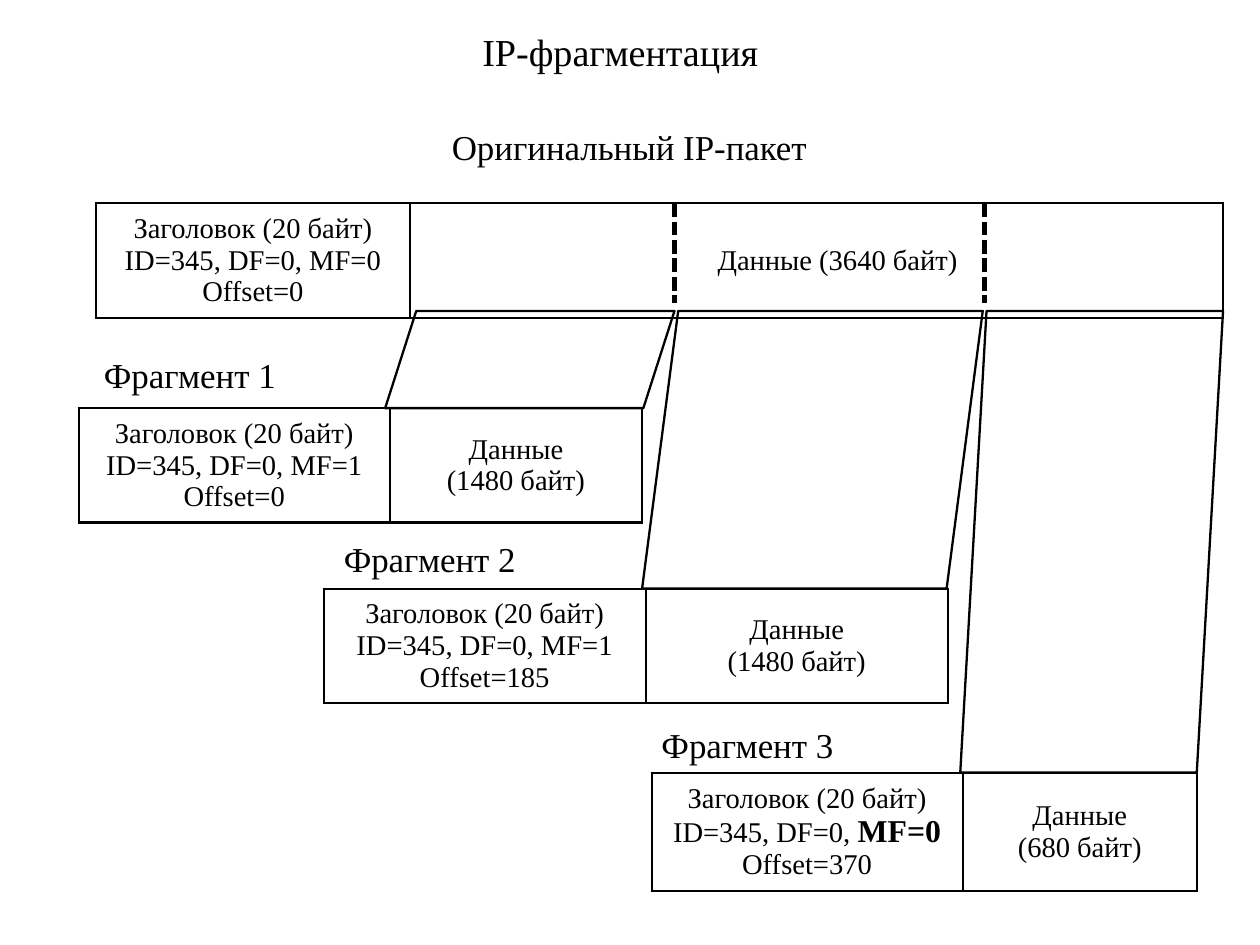
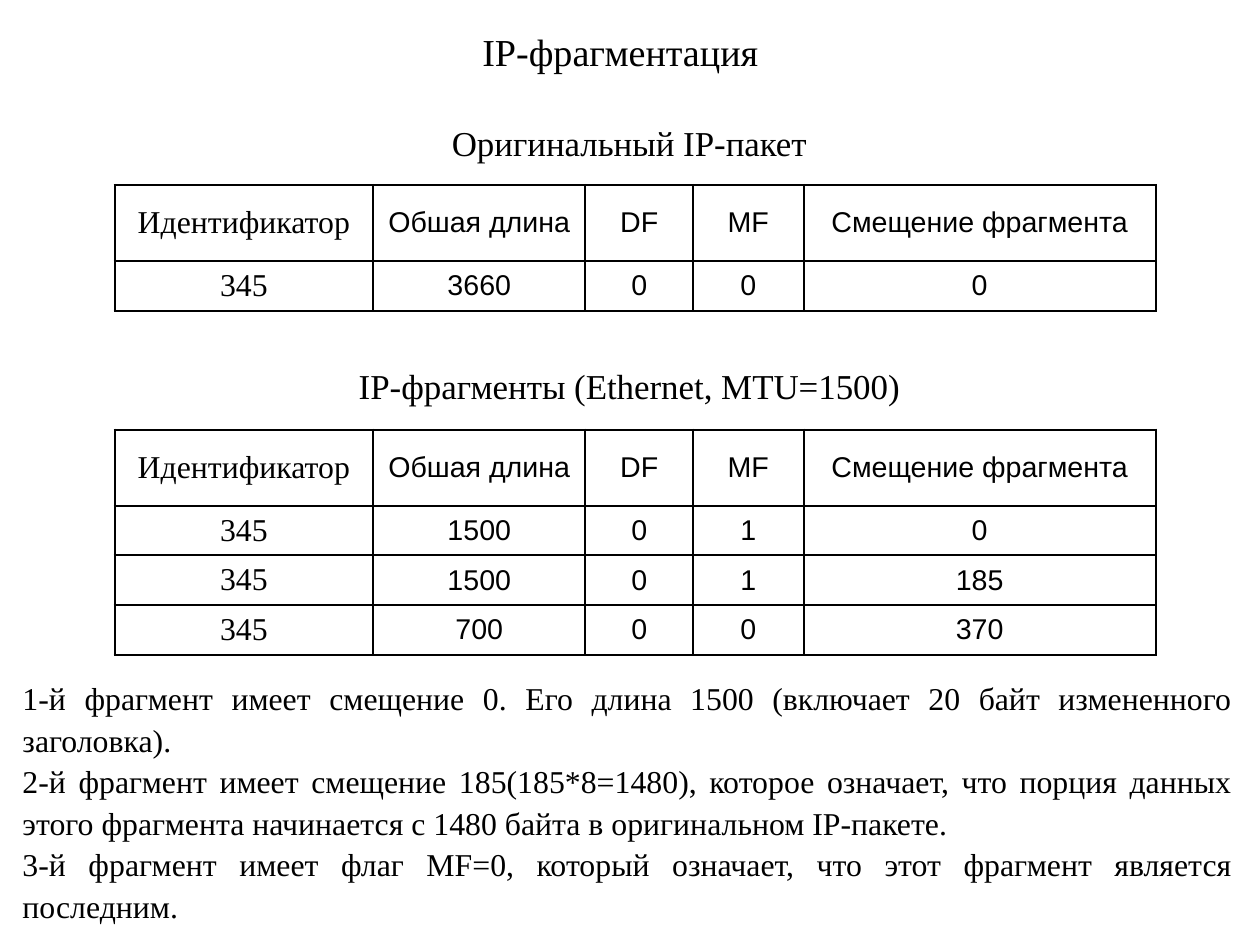
import pptx
import pptx.util
import pptx.dml.color
import pptx.enum.dml
import pptx.enum.shapes
import pptx.enum.text
import pptx.oxml
import pptx.oxml.ns
import lxml.etree

Cm = pptx.util.Cm
Pt = pptx.util.Pt
ALIGN = pptx.enum.text.PP_ALIGN
COLORS = {"ink": "000000", "page": "FFFFFF"}
SERIF, SANS = "Times New Roman", "Arial"
BORDER = 1.47


def color(name):
    """Return the named colour."""
    return pptx.dml.color.RGBColor.from_string(COLORS[name])


class Deck:
    """Holds the shared style and the current slide."""

    def __init__(self, width, height):
        """Start a file with the given slide size."""
        self.file = pptx.Presentation()
        self.file.slide_width, self.file.slide_height = Cm(width), Cm(height)

    def page(self, title):
        """Add a slide with its title."""
        self.slide = self.file.slides.add_slide(self.file.slide_layouts[6])
        back = self.slide.background.fill
        back.solid()
        back.fore_color.rgb = color("page")
        self.text(10.46, 0.51, 6.65, 1.19, title, 24, ALIGN.CENTER, wrap=False)

    def style(self, para, size, font=SERIF, align=ALIGN.CENTER):
        """Format a paragraph and its runs."""
        para.alignment = align
        for run in para.runs:
            run.font.size, run.font.name = Pt(size), font
            run.font.color.rgb = color("ink")

    def text(self, x, y, w, h, words, size, align, wrap=True, pad=(0.25, 0.13)):
        """Add a text box and return its frame."""
        frame = self.slide.shapes.add_textbox(Cm(x), Cm(y), Cm(w), Cm(h)).text_frame
        frame.word_wrap = wrap
        frame.margin_left = frame.margin_right = Cm(pad[0])
        frame.margin_top = frame.margin_bottom = Cm(pad[1])
        frame.text = words
        for para in frame.paragraphs:
            self.style(para, size, align=align)
        return frame

    def head(self, y, words):
        """Add a centred heading above a table."""
        self.text(1.3, y, 25.37, 1.24, words, 22, ALIGN.CENTER)

    def label(self, x, y, words):
        """Add the name of a fragment."""
        self.text(x, y, 4.42, 1.22, words, 22, ALIGN.LEFT, False, (0.3, 0.18))

    def edge(self, cell):
        """Draw the four borders of a cell."""
        props = cell._tc.get_or_add_tcPr()
        for side in "LRTB":
            line = lxml.etree.SubElement(
                props, pptx.oxml.ns.qn("a:ln" + side), w=str(int(Pt(BORDER))))
            fill = lxml.etree.SubElement(line, pptx.oxml.ns.qn("a:solidFill"))
            lxml.etree.SubElement(
                fill, pptx.oxml.ns.qn("a:srgbClr"), val=COLORS["ink"])

    def grid(self, x, y, cols, rows, data, fonts):
        """Add a bordered table; fonts gives (size, font) for each column."""
        table = self.slide.shapes.add_table(
            len(rows), len(cols), Cm(x), Cm(y), Cm(sum(cols)), Cm(sum(rows))).table
        table.first_row = table.horz_banding = False
        for col, width in zip(table.columns, cols):
            col.width = Cm(width)
        for row, height, line in zip(table.rows, rows, data):
            row.height = Cm(height)
            for cell, words, (size, font) in zip(row.cells, line, fonts):
                cell.text_frame.text = words
                cell.vertical_anchor = pptx.enum.text.MSO_ANCHOR.MIDDLE
                for para in cell.text_frame.paragraphs:
                    self.style(para, size, font)
                self.edge(cell)
                cell.fill.background()
        return table

    def packet(self, x, y, cols, flags, shift, data, height=2.54):
        """Add a packet made of a header cell and a data cell."""
        header = f"Заголовок (20 байт)\nID=345, DF=0, {flags}\nOffset={shift}"
        return self.grid(x, y, cols, [height], [[header, data]], [(18, SERIF)] * 2)

    def slant(self, x, y, w, h, skew):
        """Add an outlined parallelogram."""
        shape = self.slide.shapes.add_shape(
            pptx.enum.shapes.MSO_SHAPE.PARALLELOGRAM, Cm(x), Cm(y), Cm(w), Cm(h))
        shape.shadow.inherit = False
        shape.adjustments[0] = skew
        shape.fill.background()
        shape.line.color.rgb = color("ink")
        shape.line.width = Pt(1.45)

    def split(self, x, top, bottom):
        """Add a dashed vertical line."""
        line = self.slide.shapes.add_connector(
            pptx.enum.shapes.MSO_CONNECTOR.STRAIGHT, Cm(x), Cm(top), Cm(x), Cm(bottom))
        line.line.color.rgb = color("ink")
        line.line.width = Pt(2.89)
        line.line.dash_style = pptx.enum.dml.MSO_LINE.SQUARE_DOT
        lxml.etree.SubElement(line._element.spPr, pptx.oxml.ns.qn("a:effectLst"))


def scheme(deck):
    """Build the slide that cuts a packet into three fragments."""
    deck.page("IP-фрагментация")
    deck.head(2.67, "Оригинальный IP-пакет")
    whole = deck.packet(2.13, 4.52, [6.98, 18.06], "MF=0", 0, "Данные (3640 байт)")
    whole.cell(0, 1).margin_left = Cm(1.2)
    for x in (14.99, 21.88):
        deck.split(x, 4.52, 6.73)

    # label x, y; packet x, y, columns; flag, offset, bytes; slant x, width, skew
    parts = [
        (2.01, 7.67, 1.75, 9.07, [6.91, 5.61], "MF=1", 0, 1480, 8.56, 6.43, 0.32),
        (7.34, 11.76, 7.19, 13.08, [7.16, 6.71], "MF=1", 185, 1480, 14.27, 7.57, 0.13),
        (14.4, 15.9, 14.48, 17.17, [6.91, 5.21], "", 370, 680, 21.34, 5.84, 0.1),
    ]
    cut = 6.91
    for num, part in enumerate(parts, 1):
        name_x, name_y, x, y, cols, flag, shift, size, left, width, skew = part
        deck.label(name_x, name_y, f"Фрагмент {num}")
        last = deck.packet(x, y, cols, flag, shift, f"Данные\n({size} байт)",
                           2.54 if flag else 2.62)
        deck.slant(left, cut, width, y - cut, skew)

    para = last.cell(0, 0).text_frame.paragraphs[1]
    run = para.add_run()
    run.text = "MF=0"
    deck.style(para, 18)
    run.font.size, run.font.bold = Pt(20), True


def fields(deck):
    """Build the slide with the header fields of each packet."""
    cols = [5.74, 4.72, 2.39, 2.46, 7.82]
    fonts = [(20, SERIF)] + [(18, SANS)] * 4
    names = ["Идентификатор", "Обшая длина", "DF", "MF", "Смещение фрагмента"]
    deck.page("IP-фрагментация")
    tables = [
        (2.57, "Оригинальный IP-пакет", 4.11, ["345 3660 0 0 0"]),
        (7.98, "IP-фрагменты (Ethernet, MTU=1500)", 9.55,
         ["345 1500 0 1 0", "345 1500 0 1 185", "345 700 0 0 370"]),
    ]
    for head_y, head, y, lines in tables:
        deck.head(head_y, head)
        rows = [1.69] + [1.1] * len(lines)
        deck.grid(2.55, y, cols, rows, [names] + [line.split() for line in lines], fonts)
    notes = [
        "1-й фрагмент имеет смещение 0. Его длина 1500 (включает 20 байт "
        "измененного заголовка).",
        "2-й фрагмент имеет смещение 185(185*8=1480), которое означает, что порция "
        "данных этого фрагмента начинается с 1480 байта в оригинальном IP-пакете.",
        "3-й фрагмент имеет флаг MF=0, который означает, что этот фрагмент "
        "является последним.",
    ]
    frame = deck.text(0.2, 14.83, 27.48, 5.05, "\n".join(notes), 20, ALIGN.JUSTIFY,
                      pad=(0.3, 0.18))
    for para in frame.paragraphs:
        para.line_spacing = 1.09


deck = Deck(28, 21)
scheme(deck)
fields(deck)
deck.file.save("out.pptx")
